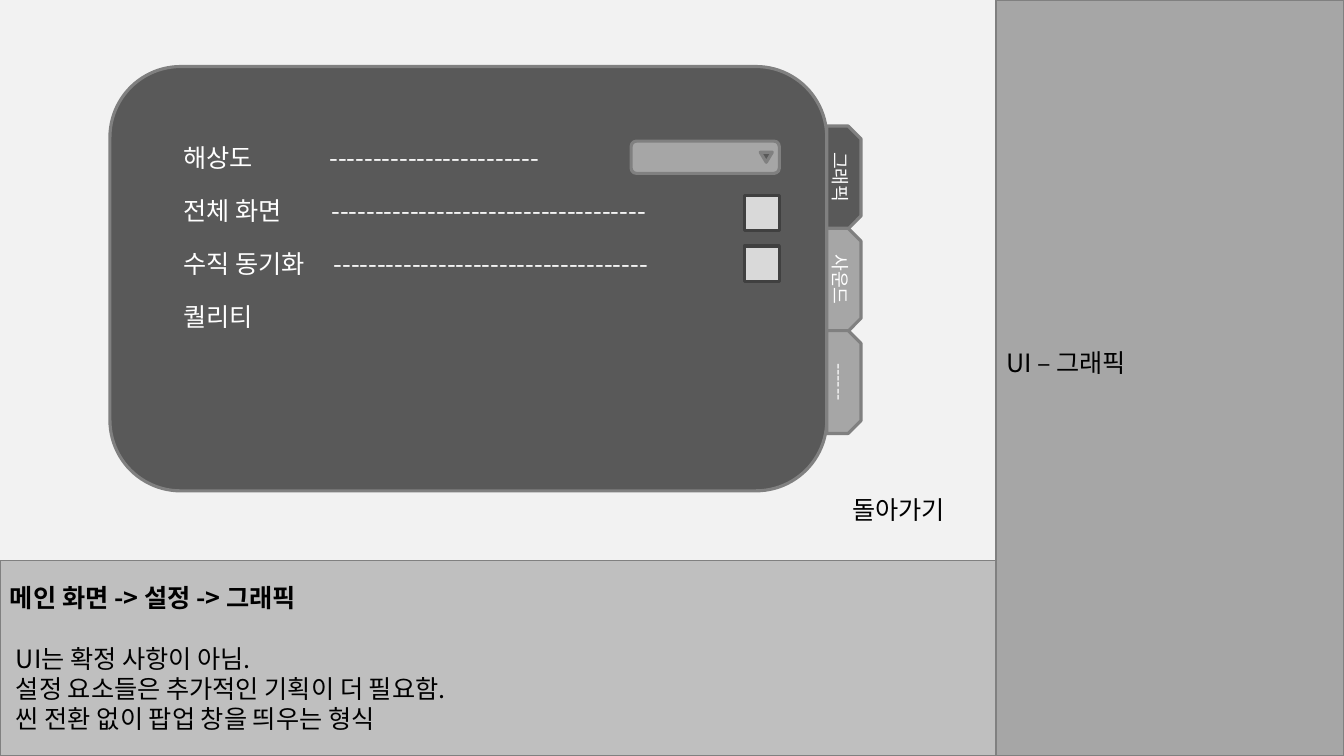
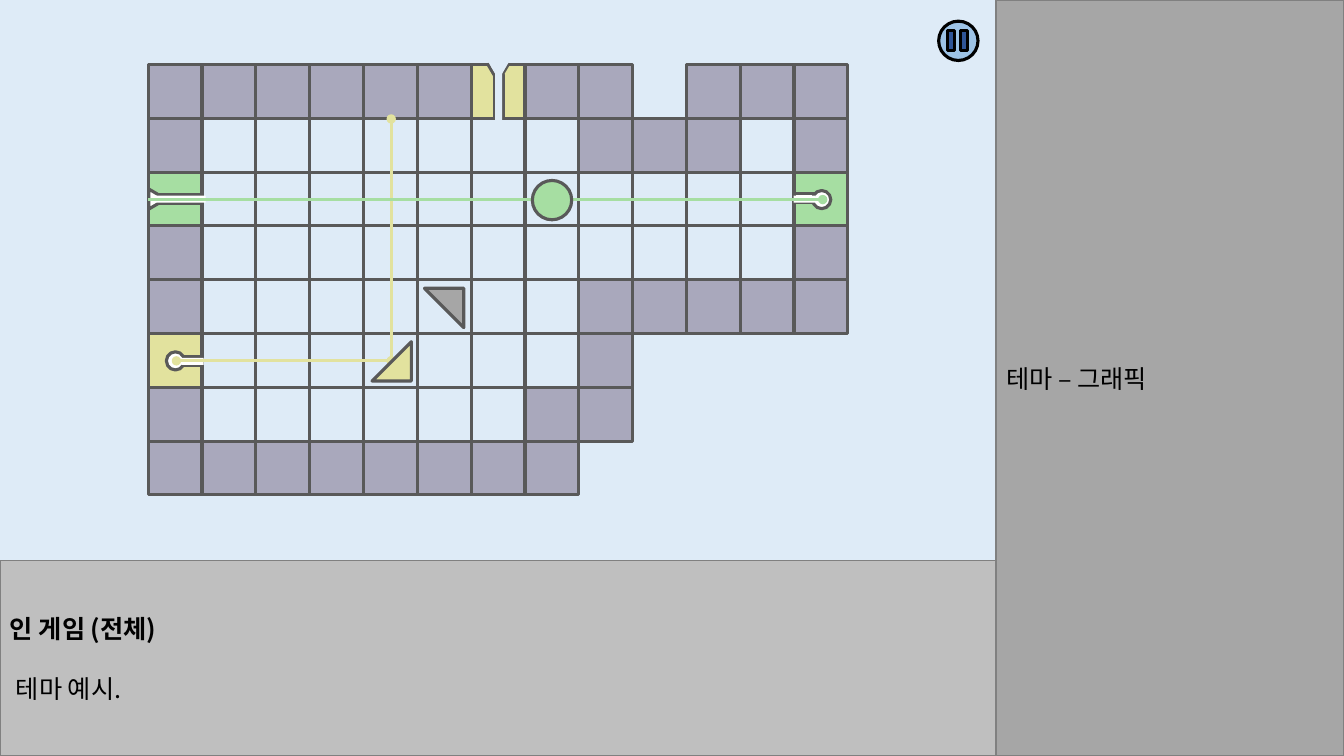
from pptx import Presentation
from pptx.dml.color import RGBColor
from pptx.enum.shapes import MSO_CONNECTOR, MSO_SHAPE
from pptx.enum.text import MSO_ANCHOR, PP_ALIGN
from pptx.oxml.ns import qn
from pptx.util import Inches, Pt
from lxml import etree

RECT, ROUND, OVAL = MSO_SHAPE.RECTANGLE, MSO_SHAPE.ROUNDED_RECTANGLE, MSO_SHAPE.OVAL
TRI, SNIP, STRIPE = MSO_SHAPE.ISOSCELES_TRIANGLE, MSO_SHAPE.SNIP_2_SAME_RECTANGLE, MSO_SHAPE.DIAGONAL_STRIPE
MIDDLE, TOP = MSO_ANCHOR.MIDDLE, MSO_ANCHOR.TOP
LEFT, MID, RIGHT = PP_ALIGN.LEFT, PP_ALIGN.CENTER, PP_ALIGN.RIGHT
STRAIGHT = MSO_CONNECTOR.STRAIGHT

FONT = "Noto Sans CJK KR"
BLACK = RGBColor(0, 0, 0)
WHITE = RGBColor(0xFF, 0xFF, 0xFF)
PALE = RGBColor(0xF2, 0xF2, 0xF2)
LIGHT = RGBColor(0xD9, 0xD9, 0xD9)
SILVER = RGBColor(0xBF, 0xBF, 0xBF)
GREY = RGBColor(0xA6, 0xA6, 0xA6)
EDGE = RGBColor(0x80, 0x80, 0x80)
DARK = RGBColor(0x59, 0x59, 0x59)
COAL = RGBColor(0x40, 0x40, 0x40)
SKY = RGBColor(0xDE, 0xEB, 0xF7)
BLUE = RGBColor(0x9D, 0xC3, 0xE6)
NAVY = RGBColor(0x2F, 0x55, 0x97)
MAUVE = RGBColor(0xA9, 0xA8, 0xBC)
YELLOW = RGBColor(0xE2, 0xE2, 0x9E)
GREEN = RGBColor(0xA6, 0xDE, 0xA2)

# Slide size and the split into stage, side panel and note panel
W, H = 13.33, 7.5
STAGE_W, STAGE_H = 9.88, 5.56


def draw(slide, kind, box, fill, line=None, width=2.25, turn=0):
    shape = slide.shapes.add_shape(kind, *map(Inches, box))
    shape.shadow.inherit = False
    shape.rotation = turn
    if fill is None:
        shape.fill.background()
    else:
        shape.fill.solid()
        shape.fill.fore_color.rgb = fill
    if line is None:
        shape.line.fill.background()
    else:
        shape.line.color.rgb = line
        shape.line.width = Pt(width)
    return shape


def write(shape, lines, color=BLACK, size=18, align=LEFT, anchor=MIDDLE, head=False):
    frame = shape.text_frame
    frame.word_wrap = True
    frame.vertical_anchor = anchor
    for i, line in enumerate(lines):
        para = frame.paragraphs[0] if i == 0 else frame.add_paragraph()
        para.alignment = align
        para.line_spacing = Pt(size * 1.2)
        if head and i == 1:
            para.space_before = Pt(size * 1.2)
        if head and i > 0:
            para._p.get_or_add_pPr().set("marL", str(Inches(0.06)))
        run = para.add_run()
        run.text = line
        run.font.size = Pt(size)
        run.font.bold = head and i == 0
        run.font.name = FONT
        run.font.color.rgb = color
        etree.SubElement(run._r.get_or_add_rPr(), qn("a:ea")).set("typeface", FONT)
    return frame


deck = Presentation()
deck.slide_width, deck.slide_height = Inches(W), Inches(H)

# Shared layout: stage, side panel, note panel
pages = [
    (PALE, "UI – 그래픽", 0.35,
     ["메인 화면 -> 설정 -> 그래픽", "UI는 확정 사항이 아님.",
      "설정 요소들은 추가적인 기획이 더 필요함.", "씬 전환 없이 팝업 창을 띄우는 형식"]),
    (SKY, "테마 – 그래픽", 0.05, ["인 게임 (전체)", "테마 예시."]),
]
slides = []
for back, title, foot, notes in pages:
    slide = deck.slides.add_slide(deck.slide_layouts[6])
    draw(slide, RECT, (0, 0, STAGE_W, STAGE_H), back)
    side = draw(slide, RECT, (STAGE_W, 0, W - STAGE_W, H), GREY, EDGE, 1)
    write(side, [title]).margin_bottom = Inches(foot)
    note = draw(slide, RECT, (0, STAGE_H, STAGE_W, H - STAGE_H), SILVER, EDGE, 1)
    write(note, notes, head=True)
    slides.append(slide)
menu, game = slides

# Menu: window and its side tabs
draw(menu, ROUND, (1.09, 0.66, 7.11, 4.21), DARK, EDGE)
for i, (name, fill) in enumerate([("그래픽", DARK), ("사운드", GREY), ("------", GREY)]):
    tab = draw(menu, SNIP, (7.86, 1.59 + i * 1.015, 1.02, 0.34), fill, EDGE, turn=90)
    tab.adjustments[0] = 0.377
    write(tab, [name], WHITE, 13, MID)

# Menu: option rows, dashes aligned by a tab stop
rows = [("해상도", 24), ("전체 화면", 36), ("수직 동기화", 36), ("퀄리티", 0)]
for i, (name, dashes) in enumerate(rows):
    label = menu.shapes.add_textbox(*map(Inches, (1.72, 1.36 + i * 0.527, 5.56, 0.4)))
    text = name + "\t" + "-" * dashes if dashes else name
    frame = write(label, [text], WHITE, anchor=TOP)
    stops = etree.SubElement(frame.paragraphs[0]._p.get_or_add_pPr(), qn("a:tabLst"))
    stop = etree.SubElement(stops, qn("a:tab"))
    stop.set("pos", str(Inches(1.45 + i * 0.02)))
    stop.set("algn", "l")

# Menu: drop-down, check boxes, way back
draw(menu, ROUND, (6.26, 1.4, 1.47, 0.32), GREY, EDGE)
draw(menu, TRI, (7.54, 1.51, 0.12, 0.1), DARK, EDGE, turn=180)
for y in (1.94, 2.44):
    draw(menu, RECT, (7.38, y, 0.35, 0.35), LIGHT, COAL)
back = menu.shapes.add_textbox(*map(Inches, (8.26, 4.86, 1.21, 0.4)))
write(back, ["돌아가기"], align=RIGHT, anchor=TOP)

# Game: board (# wall, . floor, Y and G ports)
X, Y, CELL = 1.47, 0.64, 6.94 / 13
FILLS = {"#": MAUVE, ".": None, "Y": YELLOW, "G": GREEN}
board = [
    "######Y## ###",
    "#.......###.#",
    "G...........G",
    "#...........#",
    "#.......#####",
    "Y.......#",
    "#......##",
    "########",
]
for marks in (".", "#YG"):
    for r, row in enumerate(board):
        for c, mark in enumerate(row):
            if mark in marks:
                draw(game, RECT, (X + c * CELL, Y + r * CELL, CELL, CELL), FILLS[mark], DARK)

# Game: slots cut into the ports
slots = [
    (RECT, (1.8, 3.54, 0.21, 0.09), WHITE, DARK, 0),
    (OVAL, (1.65, 3.49, 0.18, 0.18), WHITE, DARK, 0),
    (RECT, (1.8, 3.55, 0.22, 0.07), WHITE, None, 0),
    (RECT, (4.73, 0.91, 0.43, 0.09), WHITE, DARK, 90),
    (TRI, (4.84, 0.64, 0.2, 0.17), WHITE, DARK, 180),
    (RECT, (4.69, 0.91, 0.51, 0.07), SKY, None, 90),
    (TRI, (4.84, 0.61, 0.21, 0.18), SKY, None, 180),
    (RECT, (7.88, 1.92, 0.21, 0.09), WHITE, DARK, 0),
    (OVAL, (8.06, 1.89, 0.18, 0.18), WHITE, DARK, 0),
    (RECT, (7.87, 1.94, 0.22, 0.07), WHITE, None, 0),
    (TRI, (1.46, 1.89, 0.2, 0.17), WHITE, DARK, 90),
    (RECT, (1.57, 1.93, 0.43, 0.09), WHITE, DARK, 0),
    (RECT, (1.55, 1.94, 0.49, 0.07), WHITE, None, 0),
]
for kind, box, fill, line, turn in slots:
    draw(game, kind, box, fill, line, turn=turn)

# Game: light beams with round ends
beams = [
    ((1.75, 3.58, 3.88, 3.58), YELLOW, ("headEnd", "tailEnd")),
    ((3.88, 3.58, 3.88, 1.18), YELLOW, ("headEnd", "tailEnd")),
    ((8.16, 1.98, 1.47, 1.98), GREEN, ("headEnd",)),
]
for ends, color, caps in beams:
    beam = game.shapes.add_connector(STRAIGHT, *map(Inches, ends))
    beam.line.color.rgb = color
    beam.line.width = Pt(2.25)
    for cap in caps:
        etree.SubElement(beam.line._get_or_add_ln(), qn("a:" + cap)).set("type", "oval")
    etree.SubElement(beam._element.spPr, qn("a:effectLst"))

# Game: mirrors and ball
PIECE = 0.39
for x, y, fill, turn in [(4.21, 2.86, GREY, 90), (3.69, 3.39, YELLOW, 180)]:
    mirror = draw(game, STRIPE, (x, y, PIECE, PIECE), fill, DARK, turn=turn)
    mirror.adjustments[0] = 0
draw(game, OVAL, (5.28, 1.79, PIECE, PIECE), GREEN, DARK)

# Game: pause button
draw(game, OVAL, (9.31, 0.21, PIECE, PIECE), BLUE, BLACK)
for x in (9.4, 9.53):
    draw(game, RECT, (x, 0.3, 0.07, 0.2), NAVY, BLACK)

deck.save("out.pptx")
